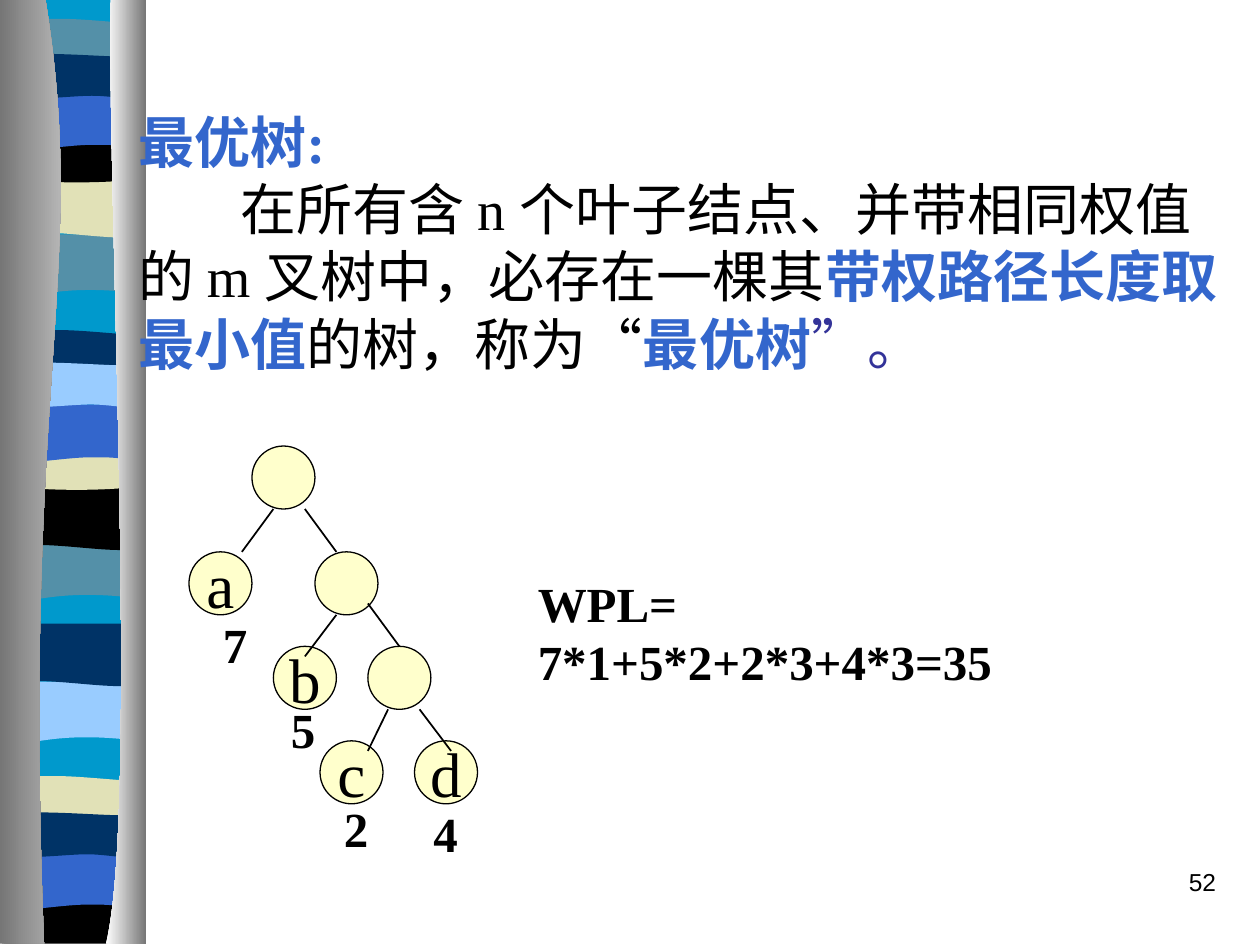
from dataclasses import dataclass

from lxml import etree
from pptx import Presentation
from pptx import util as u
from pptx.dml.color import RGBColor
from pptx.enum import lang, shapes, text
from pptx.oxml.ns import qn

COLORS = {
    "cyan": "0099CC", "teal": "5490A8", "sand": "E1E1B7", "black": "000000",
    "blue": "3366CC", "navy": "003366", "sky": "99CCFF", "indigo": "333399",
    "cream": "FFFFCC", "gray": "767676", "silver": "D3D3D3", "white": "FFFFFF",
}
SERIF = "Times New Roman"
NODE_SIZE = 0.5

# Band outlines in inches: a pair is a corner, a triple of pairs is a Bezier curve
OUTLINES = {
    "block": [(1.05, 0), (1.05, 7.47), (0, 7.47), (0, 0)],
    "wave": [(1.05, 0), (1.05, 0.47), ((0.33, 0.38), (0.18, 0.54), (0, 0.47)), (0, 0)],
    "ripple": [(1.05, 0), (1.05, 0.47), ((0.88, 0.55), (0.32, 0.41), (0, 0.47)), (0, 0)],
    "lens": [(1.05, 0.04), (1.05, 0.29), ((0.88, 0.33), (0.17, 0.33), (0, 0.29)),
             (0, 0.04), ((0.07, 0), (0.23, 0), (0.4, 0)),
             ((0.58, 0), (0.92, 0.04), (1.05, 0.04))],
    "bowl": [(1.05, 0), (1.05, 0.33), ((0.88, 0.38), (0.18, 0.38), (0, 0.33)),
             (0, 0), ((0.65, 0.05), (0.84, 0), (1.05, 0))],
    "arch": [(1.05, 0), (1.05, 0.47), ((0.89, 0.42), (0.82, 0.42), (0.64, 0.42)),
             ((0.47, 0.42), (0.16, 0.47), (0, 0.47)), (0, 0)],
    "flag": [(1.05, 0.05), (1.05, 0.36), ((0.98, 0.41), (0.82, 0.36), (0.64, 0.36)),
             ((0.47, 0.36), (0.1, 0.41), (0, 0.36)), (0, 0.05),
             ((0.15, 0), (0.71, 0.05), (0.89, 0.05)),
             ((1.07, 0.05), (1.02, 0.05), (1.05, 0.05))],
    "foot": [(1.05, 0), (1.05, 0.37), (0, 0.37), (0, 0),
             ((0.65, 0.05), (0.84, 0), (1.05, 0))],
    "left pillar": [(0.36, 0), ((0.71, 2.17), (0.17, 2.97), (0.35, 7.5)), (0, 7.5), (0, 0)],
    "right pillar": [(0.88, 0), ((0.84, 1.26), (1.11, 6.47), (0.84, 7.5)),
                     (1.16, 7.5), (1.16, 0)],
}


@dataclass
class Band:
    outline: str
    left: float
    top: float
    color: str


@dataclass
class Node:
    left: float
    top: float
    letter: str = ""


@dataclass
class Label:
    left: float
    top: float
    weight: str
    width: float = 0.39


BANDS = [
    Band("block", 0.09, -0.01, "cyan"),
    Band("wave", 0.08, 1.86, "teal"), Band("ripple", 0.1, 1.39, "sand"),
    Band("lens", 0.1, 0.15, "teal"), Band("bowl", 0.08, 1.08, "black"),
    Band("arch", 0.09, 0.73, "blue"), Band("flag", 0.09, 0.4, "navy"),
    Band("wave", 0.06, 4.28, "teal"), Band("ripple", 0.08, 3.87, "black"),
    Band("lens", 0.08, 2.62, "navy"), Band("bowl", 0.08, 3.52, "sand"),
    Band("arch", 0.08, 3.21, "blue"), Band("flag", 0.08, 2.85, "sky"),
    Band("wave", 0.05, 5.41, "sky"), Band("ripple", 0.07, 4.95, "navy"),
    Band("lens", 0.06, 6.16, "sand"), Band("foot", 0.06, 7.12, "black"),
    Band("arch", 0.05, 6.76, "blue"), Band("flag", 0.05, 6.42, "navy"),
]
NODES = [
    Node(2, 3.54), Node(1.5, 4.38, "a"), Node(2.5, 4.38), Node(2.17, 5.13, "b"),
    Node(2.92, 5.13), Node(2.54, 5.88, "c"), Node(3.29, 5.88, "d"),
]
LABELS = [Label(1.67, 4.83, "7"), Label(2.21, 5.5, "5"),
          Label(2.63, 6.29, "2", 0.31), Label(3.34, 6.33, "4")]
EDGES = [
    (2.17, 4.04, 1.92, 4.38), (2.67, 4.88, 2.42, 5.21), (3.08, 5.63, 2.92, 5.96),
    (2.42, 4.04, 2.67, 4.38), (2.92, 4.79, 3.17, 5.13), (3.33, 5.63, 3.58, 5.96),
]


def rgb(name: str) -> RGBColor:
    return RGBColor.from_string(COLORS[name])


def is_curve(step: tuple) -> bool:
    return isinstance(step[0], tuple)


def add_outline(page, name: str, left: float = 0, top: float = -0.01):
    steps = OUTLINES[name]
    corners = [point for step in steps for point in (step if is_curve(step) else [step])]
    points = [(u.Inches(left + x), u.Inches(top + y)) for x, y in corners]
    builder = page.shapes.build_freeform(*points[0])
    builder.add_line_segments(points[1:], close=True)
    shape = builder.convert_to_shape()
    # Merge the three line steps of each curve into one Bezier step
    lines = iter(list(shape._element.iter(qn("a:lnTo"))))
    for step in steps[1:]:
        line = next(lines)
        if is_curve(step):
            line.tag = qn("a:cubicBezTo")
            for _ in range(2):
                extra = next(lines)
                line.append(extra[0])
                extra.getparent().remove(extra)
    shape.shadow.inherit = False
    shape.line.fill.background()
    return shape


def add_pillar(page, name: str, start: str, end: str) -> None:
    fill = add_outline(page, name).fill
    fill.gradient()
    fill.gradient_angle = 0
    for stop, color in zip(fill.gradient_stops, (start, end)):
        stop.color.rgb = rgb(color)


def add_span(para, words: str, size: float, color: str = "black",
             bold: bool = False, font: str = SERIF) -> None:
    span = para.add_run()
    span.text = words
    span.font.size = u.Pt(size)
    span.font.name = font
    span.font.bold = bold
    span.font.color.rgb = rgb(color)
    if not words.isascii():
        span.font.language_id = lang.MSO_LANGUAGE_ID.SIMPLIFIED_CHINESE


def add_text(page, left: float, top: float, width: float, height: float,
             words: str, wrap: bool = True, grow: bool = True, align=None, **style):
    box = page.shapes.add_textbox(*map(u.Inches, (left, top, width, height)))
    frame = box.text_frame
    frame.word_wrap = wrap
    if grow:
        frame.auto_size = text.MSO_AUTO_SIZE.SHAPE_TO_FIT_TEXT
    frame.paragraphs[0].alignment = align
    add_span(frame.paragraphs[0], words, **style)
    return frame


def add_node(page, node: Node) -> None:
    circle = page.shapes.add_shape(
        shapes.MSO_SHAPE.OVAL, u.Inches(node.left), u.Inches(node.top),
        u.Inches(NODE_SIZE), u.Inches(NODE_SIZE))
    circle.shadow.inherit = False
    circle.fill.solid()
    circle.fill.fore_color.rgb = rgb("cream")
    circle.line.color.rgb = rgb("black")
    circle.line.width = u.Pt(0.75)
    if node.letter:
        frame = circle.text_frame
        frame.word_wrap = False
        frame.vertical_anchor = text.MSO_ANCHOR.MIDDLE
        frame.paragraphs[0].alignment = text.PP_ALIGN.CENTER
        add_span(frame.paragraphs[0], node.letter, 36)


def add_edge(page, ends: tuple) -> None:
    edge = page.shapes.add_connector(shapes.MSO_CONNECTOR.STRAIGHT, *map(u.Inches, ends))
    edge.line.color.rgb = rgb("black")
    edge.line.width = u.Pt(1)
    etree.SubElement(edge._element.spPr, qn("a:effectLst"))


def main() -> None:
    deck = Presentation()
    deck.slide_width, deck.slide_height = u.Inches(10), u.Inches(7.5)
    page = deck.slides.add_slide(deck.slide_layouts[6])
    # Striped column between two shaded pillars
    for band in BANDS:
        shape = add_outline(page, band.outline, band.left, band.top)
        shape.fill.solid()
        shape.fill.fore_color.rgb = rgb(band.color)
    add_pillar(page, "left pillar", "gray", "silver")
    add_pillar(page, "right pillar", "white", "gray")
    # Page number
    add_text(page, 7.67, 6.83, 2.08, 0.5, "52", grow=False,
             align=text.PP_ALIGN.RIGHT, size=14, font="Arial")
    # Definition
    frame = add_text(page, 1, 0.67, 8.83, 2.37, "最优树:", size=32, color="blue", bold=True)
    frame.paragraphs[0].line_spacing = 1.25
    para = frame.add_paragraph()
    para._p.get_or_add_pPr().set("indent", str(u.Inches(0.81)))
    for words, color, bold in (
            ("在所有含 n 个叶子结点、并带相同权值的 m 叉树中，必存在一棵其", "black", False),
            ("带权路径长度取最小值", "blue", True),
            ("的树，称为“", "black", False),
            ("最优树", "blue", True),
            ("”。", "indigo", False)):
        add_span(para, words, 32, color, bold)
    # Weighted tree
    for node in NODES:
        add_node(page, node)
    for label in LABELS:
        add_text(page, label.left, label.top, label.width, 0.57, label.weight,
                 size=28, bold=True)
    for ends in EDGES:
        add_edge(page, ends)
    # Weighted path length
    add_text(page, 4.17, 4.5, 5, 0.57, "WPL= 7*1+5*2+2*3+4*3=35", wrap=False,
             size=28, bold=True)
    deck.save("out.pptx")


if __name__ == "__main__":
    main()
